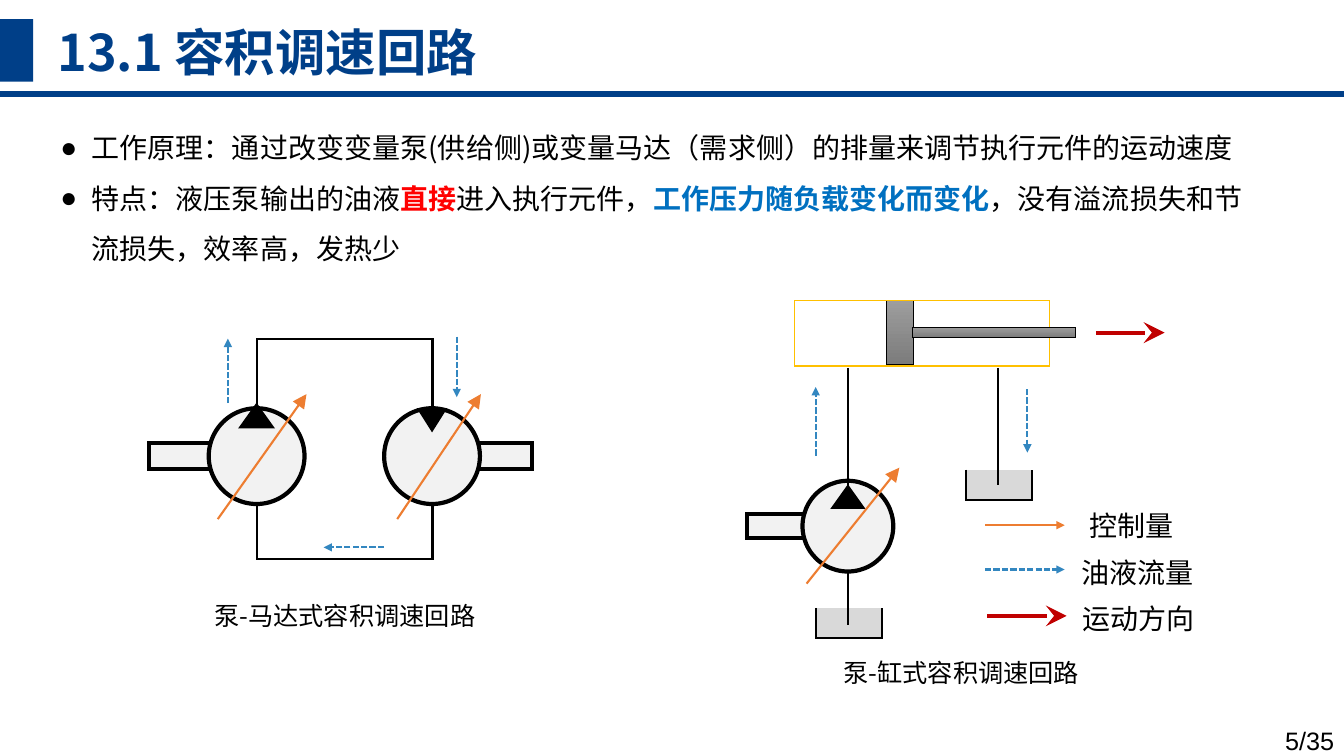
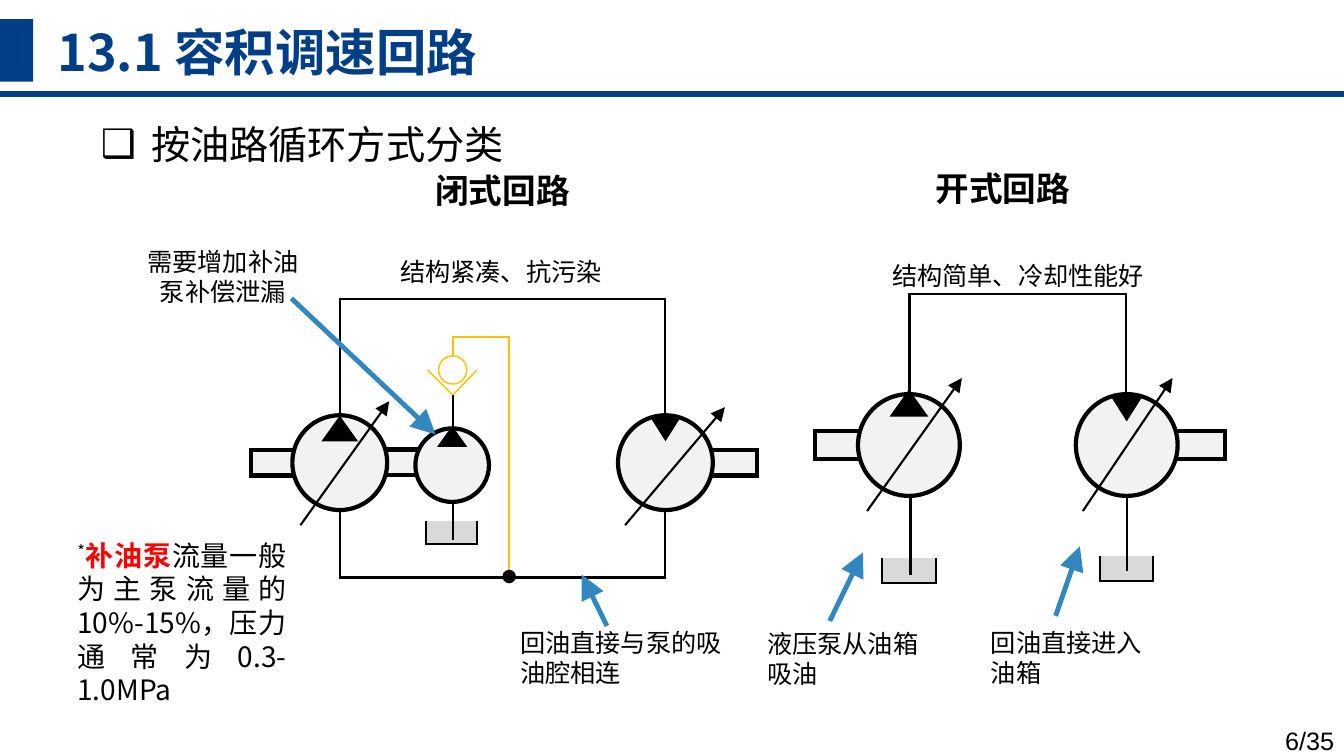
"""Build two slides on volumetric speed control circuits."""
import pptx
import pptx.util
import pptx.dml.color
import pptx.enum.dml
import pptx.enum.shapes
import pptx.enum.text
import pptx.oxml
import pptx.oxml.ns

Inches = pptx.util.Inches
SHAPE = pptx.enum.shapes.MSO_SHAPE
ALIGN = pptx.enum.text.PP_ALIGN
ANCHOR = pptx.enum.text.MSO_ANCHOR

FONT = "Noto Sans CJK SC"
NAVY, BLACK, WHITE, RED = "003F88", "000000", "FFFFFF", "FF0000"
BODY_GREY, OIL_GREY, GOLD = "F2F2F2", "D9D9D9", "FFC000"
CONTROL, FLOW, MOTION, ACCENT = "ED7D31", "3387C0", "C00000", "0070C0"
STEEL = ("9D9D9D", "7C7C7C")


def rgb(value):
    """Turn a hex string into a colour."""
    return pptx.dml.color.RGBColor.from_string(value)


def add_xml(parent, tag, **attributes):
    """Append a DrawingML element to a parent."""
    element = pptx.oxml.parse_xml(f"<a:{tag} {pptx.oxml.ns.nsdecls('a')}/>")
    for name, value in attributes.items():
        element.set(name, value)
    parent.append(element)


def paint(shape, fill, line, width):
    """Set the fill and mitred outline of a shape."""
    shape.shadow.inherit = False
    if fill is None:
        shape.fill.background()
    elif isinstance(fill, tuple):
        shape.fill.gradient()
        shape.fill.gradient_angle = 270
        for stop, colour in zip(shape.fill.gradient_stops, fill):
            stop.color.rgb = rgb(colour)
    else:
        shape.fill.solid()
        shape.fill.fore_color.rgb = rgb(fill)
    if line is None:
        shape.line.fill.background()
        return
    shape.line.color.rgb = rgb(line)
    shape.line.width = pptx.util.Pt(width)
    add_xml(shape.line._get_or_add_ln(), "miter", lim="800000")


def write(para, spans, size, align=ALIGN.LEFT, font=FONT):
    """Fill a paragraph with (text, colour, bold) spans."""
    para.alignment = align
    para.space_before = pptx.util.Pt(0)
    for text, colour, bold in spans:
        span = para.add_run()
        span.text = text
        span.font.size = pptx.util.Pt(size)
        span.font.bold = bold
        span.font.name = font
        span.font.color.rgb = rgb(colour)
        add_xml(span.font._element, "ea", typeface=font)


def place(shape, left, top, width, height):
    """Move a placeholder to a box."""
    shape.left, shape.top = Inches(left), Inches(top)
    shape.width, shape.height = Inches(width), Inches(height)
    shape.text_frame.auto_size = pptx.enum.text.MSO_AUTO_SIZE.NONE


class Region:
    """A part of a page whose drawing is relative to its corner."""

    def __init__(self, page, left=0, top=0):
        """Remember the page and the corner."""
        self.shapes, self.left, self.top = page.shapes, left, top

    def point(self, x, y):
        """Give the page position of a point in the region."""
        return Inches(self.left + x), Inches(self.top + y)

    def block(self, x, y, width, height, fill=BODY_GREY, line=BLACK, weight=3,
              kind=SHAPE.RECTANGLE):
        """Draw a preset shape."""
        shape = self.shapes.add_shape(kind, *self.point(x, y), Inches(width), Inches(height))
        paint(shape, fill, line, weight)
        return shape

    def trace(self, points, line=BLACK, weight=1.5, fill=None):
        """Draw an open outline through points."""
        start, *rest = [self.point(*point) for point in points]
        builder = self.shapes.build_freeform(*start)
        builder.add_line_segments(rest, close=False)
        paint(builder.convert_to_shape(), fill, line, weight)

    def line(self, x1, y1, x2, y2, colour=BLACK, weight=1.5, head=None, size="med", dashed=False):
        """Draw a straight line, with an arrowhead if asked."""
        connector = self.shapes.add_connector(
            pptx.enum.shapes.MSO_CONNECTOR.STRAIGHT, *self.point(x1, y1), *self.point(x2, y2))
        connector.line.color.rgb = rgb(colour)
        connector.line.width = pptx.util.Pt(weight)
        if dashed:
            connector.line.dash_style = pptx.enum.dml.MSO_LINE.SQUARE_DOT
        if head:
            add_xml(connector.line._get_or_add_ln(), "tailEnd", type=head, w=size, len=size)
        add_xml(connector._element.spPr, "effectLst")

    def flow(self, x1, y1, x2, y2):
        """Draw a dashed oil flow arrow."""
        self.line(x1, y1, x2, y2, FLOW, head="triangle", dashed=True)

    def motion(self, x, y, length):
        """Draw a thick arrow for the direction of motion."""
        self.line(x, y, x + length, y, MOTION, 3, "stealth", "lg")

    def pointer(self, x1, y1, x2, y2):
        """Draw a thick arrow from a remark to a part."""
        self.line(x1, y1, x2, y2, FLOW, 3.5, "triangle", "lg")

    def label(self, text, x, y, width, height=0.4, size=18, align=ALIGN.CENTER, bold=False,
              font=FONT):
        """Write a text box of one style."""
        self.note([(text, BLACK, bold)], x, y, width, height, size, align, font)

    def note(self, spans, x, y, width, height, size, align, font=FONT):
        """Write a text box of several spans."""
        box = self.shapes.add_textbox(*self.point(x, y), Inches(width), Inches(height))
        box.text_frame.word_wrap = True
        write(box.text_frame.paragraphs[0], spans, size, align, font)
        return box

    def tank(self, x, y, width, height, pipe_x, pipe_top, pipe_end):
        """Draw an open tank with a pipe dipping into it."""
        self.trace([(x, y), (x, y + height), (x + width, y + height), (x + width, y)],
                   fill=OIL_GREY)
        self.line(pipe_x, pipe_top, pipe_x, pipe_end)

    def machine(self, x, y, size, reach, tip, motor=False, control=None, colour=BLACK):
        """Draw a pump or motor with its shaft and control arrow."""
        middle = size / 2
        if reach:
            shaft = 0.27 * size
            shaft_x = x + size - 0.1 if motor else x - reach
            self.block(shaft_x, y + middle - shaft / 2, reach + 0.1, shaft)
        self.block(x, y, size, size, kind=SHAPE.OVAL)
        width, height = (0.24 * size, 0.19 * size) if motor else (0.3 * size, 0.21 * size)
        triangle = self.block(x + middle - width / 2, y + tip, width, height, BLACK,
                              kind=SHAPE.ISOSCELES_TRIANGLE)
        triangle.rotation = 180 if motor else 0
        if control:
            x1, y1, x2, y2 = control
            self.line(x + x1, y + y1, x + x2, y + y2, colour, head="triangle", size="lg")


def add_page(deck, number):
    """Add a page with its band, title and number, and return its body."""
    page = deck.slides.add_slide(deck.slide_layouts[1])
    frame = Region(page)
    frame.line(0, 0.93, 13.33, 0.93, NAVY, 4.5)
    frame.block(-0.02, 0.19, 0.35, 0.62, NAVY, None)
    title = page.shapes.title
    place(title, 0.47, 0.15, 6.05, 0.71)
    title.text_frame.vertical_anchor = ANCHOR.MIDDLE
    write(title.text_frame.paragraphs[0], [("13.1 容积调速回路", NAVY, True)], 36)
    frame.label(f"{number}/35", 12.14, 7.15, 1.19, align=ALIGN.RIGHT, font="Arial")
    return page, page.placeholders[1]


def fill_list(body, items, bullet, indent, size):
    """Write a bulleted list in the body placeholder."""
    for index, spans in enumerate(items):
        frame = body.text_frame
        para = frame.add_paragraph() if index else frame.paragraphs[0]
        para.line_spacing = 1.5
        properties = para._p.get_or_add_pPr()
        properties.set("marL", str(Inches(indent)))
        properties.set("indent", str(-Inches(indent)))
        write(para, spans, size)
        add_xml(properties, "buFont", typeface="Arial")
        add_xml(properties, "buChar", char=bullet)


def motor_circuit(page, left, top):
    """Draw the pump and motor circuit."""
    area = Region(page, left, top)
    area.machine(0.57, 0.75, 0.95, 0.59, -0.02, control=(0.09, 1.1, 0.97, -0.14), colour=CONTROL)
    area.machine(2.31, 0.75, 0.95, 0.52, 0.02, True, (0.13, 1.1, 0.96, -0.14), CONTROL)
    area.trace([(1.05, 0.76), (1.05, 0.06), (2.79, 0.06), (2.79, 0.77)])
    area.trace([(1.05, 1.7), (1.05, 2.25), (2.79, 2.25), (2.79, 1.69)])
    area.flow(0.76, 0.7, 0.76, 0.06)
    area.flow(3.03, 0.04, 3.03, 0.64)
    area.flow(2.31, 2.13, 1.71, 2.13)
    area.label("泵-马达式容积调速回路", 0.01, 2.61, 3.82, 0.51)


def cylinder_circuit(page, left, top):
    """Draw the pump and cylinder circuit."""
    area = Region(page, left, top)
    area.tank(0.69, 3.03, 0.66, 0.3, 1.01, 2.67, 3.2)
    area.tank(2.18, 1.66, 0.66, 0.3, 2.5, 0.65, 1.81)
    area.machine(0.56, 1.77, 0.9, 0.55, 0.07, control=(0.04, 1.02, 0.96, -0.13), colour=CONTROL)
    area.block(1.39, -0.02, 0.27, 0.64, STEEL, weight=0.5)
    area.block(0.48, -0.02, 2.53, 0.65, None, GOLD, 1)
    area.block(1.65, 0.25, 1.62, 0.1, STEEL, weight=0.5)
    area.line(1.01, 0.65, 1.01, 1.84)
    area.flow(0.69, 1.52, 0.69, 0.84)
    area.flow(2.79, 0.86, 2.79, 1.49)
    area.motion(3.47, 0.3, 0.68)
    area.label("泵-缸式容积调速回路", 0.31, 3.47, 3.65, 0.48)


def legend(page, left, top):
    """Explain the three kinds of arrow."""
    area = Region(page, left, top)
    area.line(0.07, 0.21, 0.86, 0.21, CONTROL, head="triangle")
    area.flow(0.07, 0.65, 0.86, 0.65)
    area.motion(0.09, 1.11, 0.79)
    rows = [("控制量", 0.77), ("油液流量", 0.83), ("运动方向", 0.84)]
    for index, (text, x) in enumerate(rows):
        area.label(text, x, 0.46 * index, 1.5, size=20)


def closed_circuit(page, left, top):
    """Draw the closed circuit with its charge pump and remarks."""
    area = Region(page, left, top)
    area.label("闭式回路", 1.38, -0.86, 2.21, 0.51, 24, bold=True)
    area.block(1.14, 1.96, 0.64, 0.25)
    area.machine(0.4, 1.62, 0.94, 0.41, 0.04, control=(0.08, 1.09, 0.96, -0.14))
    area.machine(3.63, 1.62, 0.94, 0.44, 0.04, True, (0.07, 1.09, 1.06, -0.08))
    area.trace([(0.87, 1.62), (0.87, 0.47), (4.1, 0.47), (4.1, 1.64)])
    area.trace([(0.87, 2.57), (0.87, 3.23), (4.1, 3.23), (4.1, 2.55)])
    area.trace([(1.99, 1.15), (1.99, 0.84), (2.55, 0.84), (2.55, 3.22)], GOLD)
    area.tank(1.73, 2.67, 0.5, 0.23, 1.99, 2.44, 2.86)
    area.machine(1.62, 1.75, 0.73, 0, 0.01)
    area.block(1.85, 1.03, 0.28, 0.28, WHITE, GOLD, 1, SHAPE.OVAL)
    area.trace([(1.74, 1.17), (1.99, 1.42), (2.23, 1.17)], GOLD, 1)
    area.line(1.99, 1.42, 1.99, 1.76)
    area.block(2.49, 3.16, 0.12, 0.12, BLACK, weight=1, kind=SHAPE.OVAL)
    area.label("结构紧凑、抗污染", 1.37, -0.01, 2.4, align=ALIGN.LEFT)
    area.label("需要增加补油泵补偿泄漏", -1.26, -0.11, 1.94, 0.71)
    area.pointer(0.39, 0.46, 1.82, 1.81)
    area.label("回油直接与泵的吸油腔相连", 2.56, 3.67, 2.27, 0.71, align=ALIGN.LEFT)
    area.pointer(3.52, 3.71, 3.27, 3.2)
    remark = [("*", BLACK, False), ("补油泵", RED, True),
              ("流量一般为主泵流量的10%-15%，压力通常为0.3-1.0MPa", BLACK, False)]
    box = area.note(remark, -1.83, 2.79, 2.27, 1.78, 20, ALIGN.JUSTIFY)
    box.text_frame.paragraphs[0].runs[0].font._element.set("baseline", "30000")


def open_circuit(page, left, top):
    """Draw the open circuit with its tanks and remarks."""
    area = Region(page, left, top)
    area.label("开式回路", 0.76, -0.88, 2.37, 0.54, 24, bold=True)
    area.machine(0.51, 1.41, 1.01, 0.43, -0.01, control=(0.09, 1.16, 1.03, -0.16))
    area.machine(2.67, 1.41, 1.01, 0.47, 0.04, True, (0.07, 1.16, 0.96, -0.16))
    area.trace([(1.02, 1.41), (1.02, 0.42), (3.17, 0.42), (3.17, 1.43)])
    area.tank(0.75, 3.04, 0.53, 0.24, 1.03, 2.42, 3.2)
    area.tank(2.91, 3.02, 0.53, 0.24, 3.18, 2.42, 3.16)
    area.label("结构简单、冷却性能好", 0.75, 0.03, 2.9, align=ALIGN.LEFT)
    area.label("液压泵从油箱吸油", -0.49, 3.68, 1.72, 0.71, align=ALIGN.LEFT)
    area.pointer(0.23, 3.66, 0.56, 2.98)
    area.label("回油直接进入油箱", 1.73, 3.67, 1.84, 0.71, align=ALIGN.LEFT)
    area.pointer(2.47, 3.61, 2.71, 2.92)


def principle_slide(deck):
    """Build the slide on principle and features."""
    page, body = add_page(deck, 5)
    place(body, 0.5, 1.08, 12.08, 2.1)
    principle = "工作原理：通过改变变量泵(供给侧)或变量马达（需求侧）的排量来调节执行元件的运动速度"
    features = [("特点：液压泵输出的油液", BLACK, False), ("直接", RED, True),
                ("进入执行元件，", BLACK, False), ("工作压力随负载变化而变化", ACCENT, True),
                ("，没有溢流损失和节流损失，效率高，发热少", BLACK, False)]
    fill_list(body, [[(principle, BLACK, False)], features], "●", 0.31, 20)
    motor_circuit(page, 1.5, 3.3)
    cylinder_circuit(page, 7.4, 3)
    legend(page, 9.7, 5)


def loop_slide(deck):
    """Build the slide comparing closed and open circuits."""
    page, body = add_page(deck, 6)
    place(body, 0.9, 0.91, 4.6, 0.72)
    fill_list(body, [[("按油路循环方式分类", BLACK, False)]], "❑", 0.5, 28)
    open_circuit(page, 8, 2.5)
    closed_circuit(page, 2.5, 2.5)


def main():
    """Build and save the deck."""
    deck = pptx.Presentation()
    deck.slide_width, deck.slide_height = Inches(13.33), Inches(7.5)
    principle_slide(deck)
    loop_slide(deck)
    deck.save("out.pptx")


if __name__ == "__main__":
    main()
